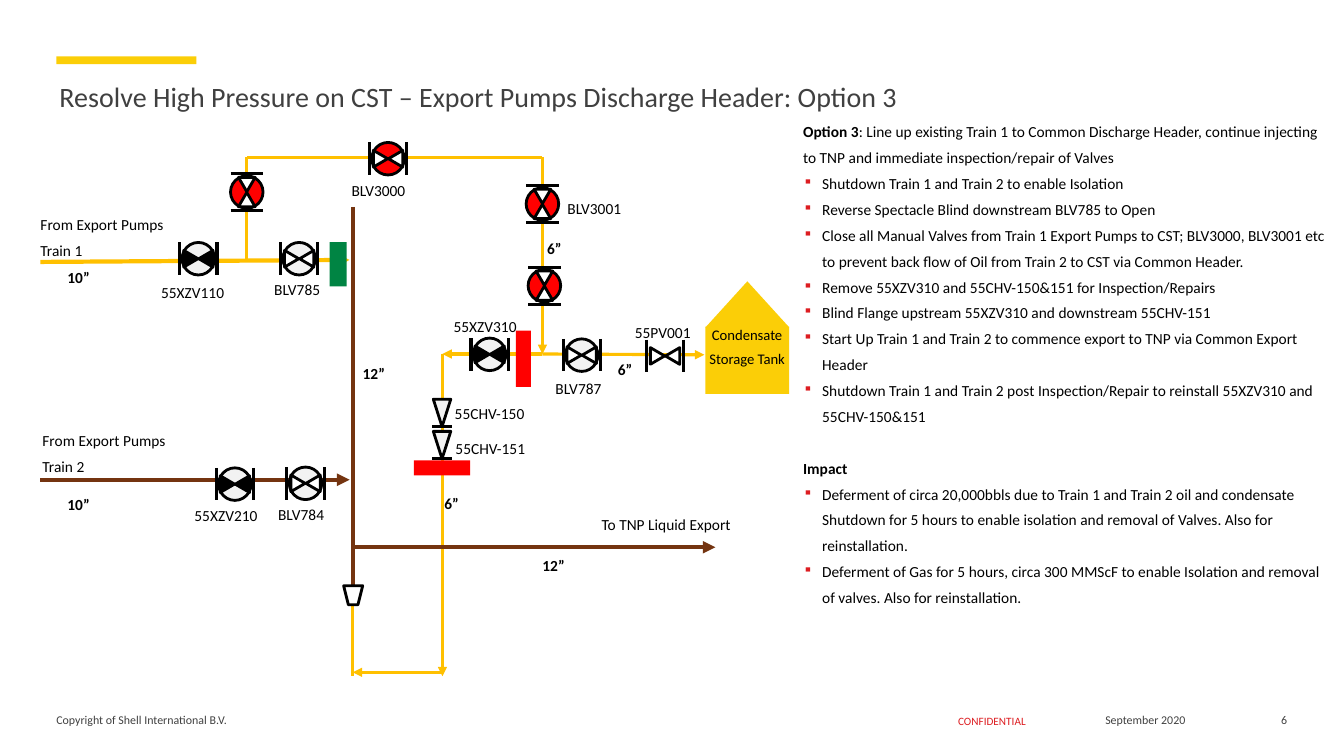
from dataclasses import dataclass

from lxml.etree import SubElement
from pptx import Presentation
from pptx.dml.color import RGBColor
from pptx.enum.shapes import MSO_CONNECTOR, MSO_SHAPE
from pptx.enum.text import PP_ALIGN
from pptx.oxml.ns import qn
from pptx.util import Cm, Pt

FONT = "Calibri"
COLORS = {
    "yellow": "FBCE07", "amber": "FFC000", "brown": "743410", "red": "FF0000",
    "green": "008443", "crimson": "DD1D21", "gray": "404040", "pale": "F2F2F2",
    "white": "FFFFFF", "black": "000000",
}


@dataclass
class Pipe:
    x1: float
    y1: float
    x2: float
    y2: float
    color: str = "amber"
    width: float = 2.25
    arrow: bool = True


@dataclass
class Valve:
    x: float
    y: float
    body: str = "pale"
    wedge: str = "white"
    vertical: bool = False


@dataclass
class Label:
    text: str
    x: float
    y: float
    width: float = 2.11
    height: float = 0.58
    size: float = 11
    color: str = "black"
    bold: bool = False
    align: PP_ALIGN = PP_ALIGN.LEFT
    spacing: float = 1.4


@dataclass
class Block:
    x: float
    y: float
    width: float
    height: float
    fill: str | None
    kind: MSO_SHAPE = MSO_SHAPE.RECTANGLE
    outlined: bool = False
    rotation: float = 0


PIPES = [
    Pipe(1.02, 6.6, 8.81, 6.55, width=3),
    Pipe(1.02, 12.09, 8.81, 12.09, "brown", 3),
    Pipe(8.89, 5.21, 8.89, 14.76, "brown", 3, False),
    Pipe(6.22, 6.55, 6.22, 3.96, arrow=False),
    Pipe(6.22, 3.96, 13.67, 3.96, arrow=False),
    Pipe(13.67, 3.96, 13.67, 8.92),
    Pipe(13.67, 8.92, 11.15, 8.92),
    Pipe(11.15, 8.92, 11.15, 17.04),
    Pipe(8.89, 15.24, 8.89, 17.04, arrow=False),
    Pipe(11.15, 16.94, 8.89, 16.94),
    Pipe(13.67, 8.92, 17.75, 8.94),
    Pipe(8.89, 13.79, 18.03, 13.79, "brown", 3),
]
VALVES = [
    Valve(12.34, 8.93, wedge="black"),
    Valve(13.72, 7.2, "red", vertical=True),
    Valve(14.66, 8.95),
    Valve(7.54, 6.52),
    Valve(5, 6.52, wedge="black"),
    Valve(13.67, 5.14, "red", vertical=True),
    Valve(9.78, 4, "red"),
    Valve(6.22, 4.84, "red", vertical=True),
    Valve(7.7, 12.18),
    Valve(5.92, 12.2, wedge="black"),
    Valve(16.76, 8.97, body=""),
]
CHECK_VALVE_X = 11.14
CHECK_VALVE_TOPS = [10.06, 10.87]
FITTINGS = [
    Block(1.42, 1.42, 3.53, 0.2, "yellow"),
    Block(8.66, 14.76, 0.48, 0.48, None, MSO_SHAPE.TRAPEZOID, True, 180),
    Block(17.78, 8.23, 2.11, 1.7, "yellow"),
    Block(17.78, 7.09, 2.11, 1.16, "yellow", MSO_SHAPE.ISOSCELES_TRIANGLE),
]
BLINDS = [
    Block(8.31, 6.1, 0.43, 1.12, "green"),
    Block(13, 8.33, 0.38, 1.42, "red"),
    Block(10.43, 11.6, 1.42, 0.38, "red"),
]
PIPE_SIZES = [
    ("10”", 1.7, 6.58), ("10”", 1.7, 12.29), ("12”", 9.14, 8.99), ("6”", 11.2, 12.27),
    ("6”", 15.57, 8.89), ("12”", 13.67, 13.84), ("6”", 13.79, 5.84),
]
TAGS = [
    ("55XZV310", 11.43, 7.8), ("55CHV-150", 11.46, 10.01), ("55CHV-151", 11.48, 10.87),
    ("BLV785", 6.91, 6.88), ("BLV784", 7.01, 12.55), ("55XZV110", 4.06, 6.96),
    ("55XZV210", 4.9, 12.57), ("BLV3001", 14.3, 4.83), ("BLV3000", 8.86, 4.37),
    ("BLV787", 14, 9.37), ("55PV001", 16, 7.95),
]
LABELS = [
    Label("Resolve High Pressure on CST – Export Pumps Discharge Header: Option 3",
          1.5, 2.01, 31.04, 2.08, 20, "gray", spacing=1),
    Label("Copyright of Shell International B.V.", 1.42, 17.96, 9.32, 0.66, 8.5, "gray", spacing=1),
    Label("CONFIDENTIAL", 23.5, 18.01, 3, 0.48, 8, "crimson", align=PP_ALIGN.CENTER, spacing=1),
    Label("September 2020", 26.87, 17.96, 3.99, 0.66, 8.5, "gray", align=PP_ALIGN.CENTER, spacing=1),
    Label("6", 31.45, 17.96, 0.99, 0.66, 8.5, "gray", align=PP_ALIGN.RIGHT, spacing=1),
    Label("From Export Pumps Train 1", 1.02, 5.23, 3.78, 1.24),
    Label("From Export Pumps Train 2", 1.07, 10.67, 3.78, 1.24),
    Label("Condensate Storage Tank", 17.75, 8.03, 2.16, 1.83, 10.5, align=PP_ALIGN.CENTER),
    Label("To TNP Liquid Export", 15.16, 12.8, 3.78),
    *(Label(text, x, y, 0.94, bold=True) for text, x, y in PIPE_SIZES),
    *(Label(text, x, y) for text, x, y in TAGS),
]
OPTION_LEAD = "Option 3"
OPTION_TEXT = (": Line up existing Train 1 to Common Discharge Header, continue injecting "
               "to TNP and immediate inspection/repair of Valves")
ACTIONS = [
    "Shutdown Train 1 and Train 2 to enable Isolation",
    "Reverse Spectacle Blind downstream BLV785 to Open",
    "Close all Manual Valves from Train 1 Export Pumps to CST; BLV3000, BLV3001 etc "
    "to prevent back flow of Oil from Train 2 to CST via Common Header.",
    "Remove 55XZV310 and 55CHV-150&151 for Inspection/Repairs",
    "Blind Flange upstream 55XZV310 and downstream 55CHV-151",
    "Start Up Train 1 and Train 2 to commence export to TNP via Common Export Header",
    "Shutdown Train 1 and Train 2 post Inspection/Repair to reinstall 55XZV310 and 55CHV-150&151",
]
IMPACTS = [
    "Deferment of circa 20,000bbls due to Train 1 and Train 2 oil and condensate Shutdown "
    "for 5 hours to enable isolation and removal of Valves. Also for reinstallation.",
    "Deferment of Gas for 5 hours, circa 300 MMScF to enable Isolation and removal of valves. "
    "Also for reinstallation.",
]


def rgb(name: str) -> RGBColor:
    return RGBColor.from_string(COLORS[name])


def draw_block(slide, block: Block) -> None:
    shape = slide.shapes.add_shape(block.kind, Cm(block.x), Cm(block.y), Cm(block.width), Cm(block.height))
    shape.shadow.inherit = False
    shape.rotation = block.rotation
    if block.fill:
        shape.fill.solid()
        shape.fill.fore_color.rgb = rgb(block.fill)
    else:
        shape.fill.background()
    if block.outlined:
        shape.line.color.rgb = rgb("black")
        shape.line.width = Pt(2)
    else:
        shape.line.fill.background()


def draw_pipe(slide, pipe: Pipe) -> None:
    connector = slide.shapes.add_connector(
        MSO_CONNECTOR.STRAIGHT, Cm(pipe.x1), Cm(pipe.y1), Cm(pipe.x2), Cm(pipe.y2))
    connector.line.color.rgb = rgb(pipe.color)
    connector.line.width = Pt(pipe.width)
    properties = connector._element.spPr
    if pipe.arrow:
        SubElement(properties.find(qn("a:ln")), qn("a:tailEnd"), type="triangle")
    SubElement(properties, qn("a:effectLst"))


def draw_valve(slide, valve: Valve) -> None:
    if valve.body:
        draw_block(slide, Block(valve.x - 0.41, valve.y - 0.41, 0.82, 0.82, valve.body, MSO_SHAPE.OVAL, True))
    along_x, along_y = (0, 1) if valve.vertical else (1, 0)
    for side in (-1, 1):
        wedge_x, wedge_y = valve.x + side * 0.19 * along_x, valve.y + side * 0.19 * along_y
        rotation = (90 if valve.vertical else 180) - side * 90 if valve.vertical else 180 + side * 90
        draw_block(slide, Block(wedge_x - 0.21, wedge_y - 0.18, 0.42, 0.36, valve.wedge,
                                MSO_SHAPE.ISOSCELES_TRIANGLE, True, rotation))
        flange_x, flange_y = valve.x + side * 0.47 * along_x, valve.y + side * 0.47 * along_y
        draw_pipe(slide, Pipe(flange_x - 0.41 * along_y, flange_y - 0.41 * along_x,
                              flange_x + 0.41 * along_y, flange_y + 0.41 * along_x, "black", arrow=False))


def draw_check_valve(slide, x: float, top: float) -> None:
    draw_block(slide, Block(x - 0.22, top, 0.44, 0.69, "pale", MSO_SHAPE.ISOSCELES_TRIANGLE, True, 180))
    draw_pipe(slide, Pipe(x - 0.25, top + 0.69, x + 0.25, top + 0.69, "black", arrow=False))


def add_text_frame(slide, x: float, y: float, width: float, height: float):
    text_frame = slide.shapes.add_textbox(Cm(x), Cm(y), Cm(width), Cm(height)).text_frame
    text_frame.word_wrap = True
    text_frame.margin_left = text_frame.margin_right = text_frame.margin_top = text_frame.margin_bottom = 0
    return text_frame


def format_paragraph(paragraph, size: float = 11, color: str = "black", bold: bool = False,
                     spacing: float = 1.4) -> None:
    paragraph.line_spacing = spacing
    for run in paragraph.runs:
        run.font.name = FONT
        run.font.size = Pt(size)
        run.font.bold = bold
        run.font.color.rgb = rgb(color)


def draw_label(slide, label: Label) -> None:
    text_frame = add_text_frame(slide, label.x, label.y, label.width, label.height)
    text_frame.text = label.text
    paragraph = text_frame.paragraphs[0]
    paragraph.alignment = label.align
    format_paragraph(paragraph, label.size, label.color, label.bold, label.spacing)


def add_bullets(text_frame, items: list[str]) -> None:
    for item in items:
        paragraph = text_frame.add_paragraph()
        paragraph.text = item
        format_paragraph(paragraph)
        properties = paragraph._p.get_or_add_pPr()
        properties.set("marL", str(Cm(0.48)))
        properties.set("indent", str(-Cm(0.48)))
        bullet_color = SubElement(properties, qn("a:buClr"))
        SubElement(bullet_color, qn("a:srgbClr"), val=COLORS["crimson"])
        SubElement(properties, qn("a:buSzPct"), val="85000")
        SubElement(properties, qn("a:buChar"), char="▪")


def draw_option_notes(slide) -> None:
    text_frame = add_text_frame(slide, 20.24, 2.9, 13.18, 13.08)
    option = text_frame.paragraphs[0]
    option.text = OPTION_LEAD
    option.add_run().text = OPTION_TEXT
    format_paragraph(option)
    option.runs[0].font.bold = True
    add_bullets(text_frame, ACTIONS)
    impact = text_frame.add_paragraph()
    impact.text = "Impact"
    impact.space_before = Pt(18.5)
    format_paragraph(impact, bold=True)
    add_bullets(text_frame, IMPACTS)


def main() -> None:
    presentation = Presentation()
    presentation.slide_width, presentation.slide_height = Cm(33.87), Cm(19.05)
    slide = presentation.slides.add_slide(presentation.slide_layouts[6])

    # Pipework and equipment
    for pipe in PIPES:
        draw_pipe(slide, pipe)
    for fitting in FITTINGS:
        draw_block(slide, fitting)
    for top in CHECK_VALVE_TOPS:
        draw_check_valve(slide, CHECK_VALVE_X, top)
    for valve in VALVES:
        draw_valve(slide, valve)

    # Title, tags, footer and notes
    for label in LABELS:
        draw_label(slide, label)
    draw_option_notes(slide)

    # Blinds lie over the pipes and tags
    for blind in BLINDS:
        draw_block(slide, blind)
    presentation.save("out.pptx")


if __name__ == "__main__":
    main()
